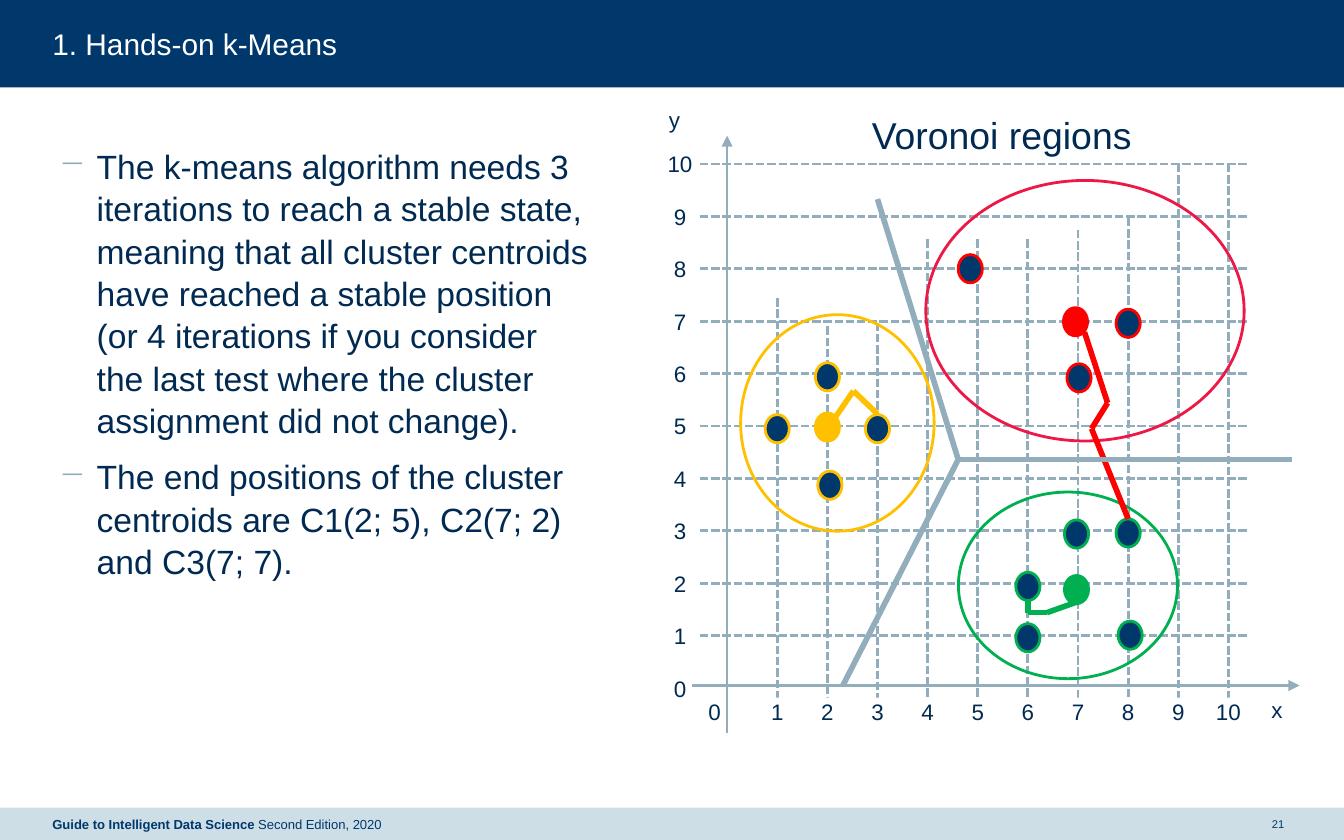
from collections import namedtuple
from itertools import pairwise

from lxml.etree import SubElement
from pptx import Presentation
from pptx.dml.color import RGBColor
from pptx.enum.dml import MSO_LINE_DASH_STYLE as Dash
from pptx.enum.shapes import MSO_CONNECTOR_TYPE as Connector, MSO_SHAPE as Shape
from pptx.enum.text import MSO_ANCHOR as Anchor, PP_ALIGN as Align
from pptx.oxml.ns import qn
from pptx.util import Inches, Pt

NAVY = RGBColor(0x00, 0x38, 0x6C)
INK = RGBColor(0x00, 0x2A, 0x51)
STEEL = RGBColor(0x92, 0xAE, 0xBC)
PALE = RGBColor(0xCD, 0xDE, 0xE7)
WHITE = RGBColor(0xFF, 0xFF, 0xFF)
RED = RGBColor(0xFF, 0x00, 0x00)
CRIMSON = RGBColor(0xED, 0x18, 0x46)
AMBER = RGBColor(0xFF, 0xC0, 0x00)
GREEN = RGBColor(0x00, 0xB0, 0x50)

WIDTH, HEIGHT = 10, 6.25
MARGIN = 0.39
Box = namedtuple("Box", "left top width height")
Cluster = namedtuple("Cluster", "color ring_color ring points centroid trail")

# Positions in units of the plot's axes; a ring is centre x, centre y, width, height.
CLUSTERS = [
    Cluster(RED, CRIMSON, (7.14, 7.2, 6.35, 4.97),
            [(7.02, 5.92), (4.85, 8), (8, 6.96)], (6.95, 6.99),
            [(8, 3.23), (7.27, 4.95), (7.59, 5.44), (7.13, 6.79)]),
    Cluster(AMBER, AMBER, (2.2, 5.06, 3.86, 4.13),
            [(3, 4.95), (2.05, 3.87), (2, 5.94), (1, 4.95)], (2, 4.98),
            [(3, 5.23), (2.52, 5.67), (2.17, 5.18)]),
    Cluster(GREEN, GREEN, (6.8, 1.96, 4.37, 3.56),
            [(6, 1.94), (6, 0.96), (6.97, 2.94), (8, 2.96), (8.04, 1.01)], (6.97, 1.88),
            [(6, 1.67), (6, 1.44), (6.38, 1.44), (6.97, 1.64)]),
]
COLUMN_TOPS = [7.44, 6.9, 6.97, 8.56, 8.56, 8.56, 8.74, 8.97, 10, 10]
VORONOI_VERTEX = (4.61, 4.36)
VORONOI_ENDS = [(11.26, 4.36), (3, 9.33), (2.31, 0.05)]
BULLETS = [
    "The k-means algorithm needs 3 iterations to reach a stable state, meaning that "
    "all cluster centroids have reached a stable position (or 4 iterations if you "
    "consider the last test where the cluster assignment did not change).",
    "The end positions of the cluster centroids are C1(2; 5), C2(7; 2) and C3(7; 7).",
]


def add_run(paragraph, text, size, color, bold=False):
    run = paragraph.add_run()
    run.text = text
    font = run.font
    font.name, font.size, font.bold = "Arial", Pt(size), bold
    font.color.rgb = color


def add_text_frame(slide, box, anchor=Anchor.TOP):
    frame = slide.shapes.add_textbox(*map(Inches, box)).text_frame
    frame.margin_left = frame.margin_right = frame.margin_top = frame.margin_bottom = 0
    frame.word_wrap = True
    frame.vertical_anchor = anchor
    return frame


def add_solid(slide, kind, box, fill=None, outline=None):
    shape = slide.shapes.add_shape(kind, *map(Inches, box))
    shape.shadow.inherit = False
    if fill is None:
        shape.fill.background()
    else:
        shape.fill.solid()
        shape.fill.fore_color.rgb = fill
    if outline is None:
        shape.line.fill.background()
    else:
        shape.line.color.rgb = outline
        shape.line.width = Pt(1.5)
    return shape


class Plot:
    """Draws on a box that spans 0 to 10 on both axes."""

    def __init__(self, slide, box):
        self.slide, self.box = slide, box
        self.column, self.row = box.width / 10, box.height / 10

    def at(self, x, y):
        return (self.box.left + x * self.column,
                self.box.top + self.box.height - y * self.row)

    def centred(self, x, y, width, height):
        across, down = self.at(x, y)
        return Box(across - width / 2, down - height / 2, width, height)

    def line(self, start, end, color=STEEL, weight=1.5, dashed=False, arrow=False):
        ends = map(Inches, self.at(*start) + self.at(*end))
        connector = self.slide.shapes.add_connector(Connector.STRAIGHT, *ends)
        connector.line.color.rgb = color
        connector.line.width = Pt(weight)
        if dashed:
            connector.line.dash_style = Dash.SQUARE_DOT
        properties = connector._element.spPr
        if arrow:
            SubElement(properties.find(qn("a:ln")), qn("a:tailEnd"), type="triangle")
        SubElement(properties, qn("a:effectLst"))

    def label(self, text, x, y, width=0.09, height=0.2, size=12):
        patch = add_solid(self.slide, Shape.RECTANGLE,
                          self.centred(x, y, width, height), WHITE)
        frame = patch.text_frame
        frame.margin_left = frame.margin_right = frame.margin_top = frame.margin_bottom = 0
        frame.word_wrap = False
        frame.paragraphs[0].alignment = Align.CENTER
        add_run(frame.paragraphs[0], text, size, INK)

    def dot(self, point, fill, outline):
        add_solid(self.slide, Shape.OVAL, self.centred(*point, 0.18, 0.21), fill, outline)

    def grid(self):
        self.line((0, -0.85), (0, 10.54), arrow=True)
        self.line((-0.7, 0.05), (11.42, 0.05), arrow=True)
        for value, top in enumerate(COLUMN_TOPS, start=1):
            self.line((value, top), (value, -0.3), dashed=True)
            self.line((-0.54, value), (10.38, value), dashed=True)
        for value in range(11):
            width = 0.09 * len(str(value))
            self.label(str(value), value or -0.25, -0.44, width)
            self.label(str(value), -0.94, value, width)
        self.label("y", -1.05, 10.85)
        self.label("x", 10.97, -0.41)

    def clusters(self):
        for cluster in CLUSTERS:
            for point in cluster.points:
                self.dot(point, NAVY, cluster.color)
        for cluster in CLUSTERS:
            x, y, width, height = cluster.ring
            ring = self.centred(x, y, width * self.column, height * self.row)
            add_solid(self.slide, Shape.OVAL, ring, outline=cluster.ring_color)
            self.dot(cluster.centroid, cluster.color, cluster.color)
        for cluster in CLUSTERS:
            for start, end in pairwise(cluster.trail):
                self.line(start, end, cluster.color, 3)

    def voronoi(self):
        for end in VORONOI_ENDS:
            self.line(VORONOI_VERTEX, end, weight=3)
        self.label("Voronoi regions", 5.48, 10.56, 1.95, 0.34, size=20)


def header(slide, box):
    add_solid(slide, Shape.RECTANGLE, box, NAVY)
    title = add_text_frame(slide, Box(box.left + MARGIN, box.top + 0.19,
                                      box.width - 2 * MARGIN, 0.27))
    add_run(title.paragraphs[0], "1. Hands-on k-Means", 16, WHITE)


def footer(slide, box):
    add_solid(slide, Shape.RECTANGLE, box, PALE)
    number_width = 0.2
    number_left = box.left + box.width - MARGIN - number_width
    number = add_text_frame(slide, box._replace(left=number_left, width=number_width),
                            Anchor.MIDDLE)
    number.paragraphs[0].alignment = Align.CENTER
    add_run(number.paragraphs[0], "21", 6, NAVY)
    source = add_text_frame(slide, box._replace(left=box.left + MARGIN, width=4.39),
                            Anchor.MIDDLE)
    add_run(source.paragraphs[0], "Guide to Intelligent Data Science ", 7, NAVY, bold=True)
    add_run(source.paragraphs[0], "Second Edition, 2020", 7, NAVY)


def bullet_list(slide, box):
    frame = add_text_frame(slide, box)
    for index, text in enumerate(BULLETS):
        paragraph = frame.add_paragraph() if index else frame.paragraphs[0]
        paragraph.space_before = Pt(7.5)
        paragraph.line_spacing = 1.05
        properties = paragraph._p.get_or_add_pPr()
        properties.set("marL", str(Inches(0.29)))
        properties.set("indent", str(Inches(-0.28)))
        tint = SubElement(properties, qn("a:buClr"))
        SubElement(tint, qn("a:srgbClr"), val=str(STEEL))
        SubElement(properties, qn("a:buChar"), char="−")
        add_run(paragraph, text, 18, INK)


def main():
    deck = Presentation()
    deck.slide_width, deck.slide_height = Inches(WIDTH), Inches(HEIGHT)
    slide = deck.slides.add_slide(deck.slide_layouts[6])
    header(slide, Box(0, 0, WIDTH, 0.65))
    footer(slide, Box(0, 6.01, WIDTH, HEIGHT - 6.01))
    bullet_list(slide, Box(0.43, 1.07, 3.96, 3.55))
    plot = Plot(slide, Box(5.41, 1.22, 3.73, 3.9))
    plot.grid()
    plot.clusters()
    plot.voronoi()
    deck.save("out.pptx")


if __name__ == "__main__":
    main()
